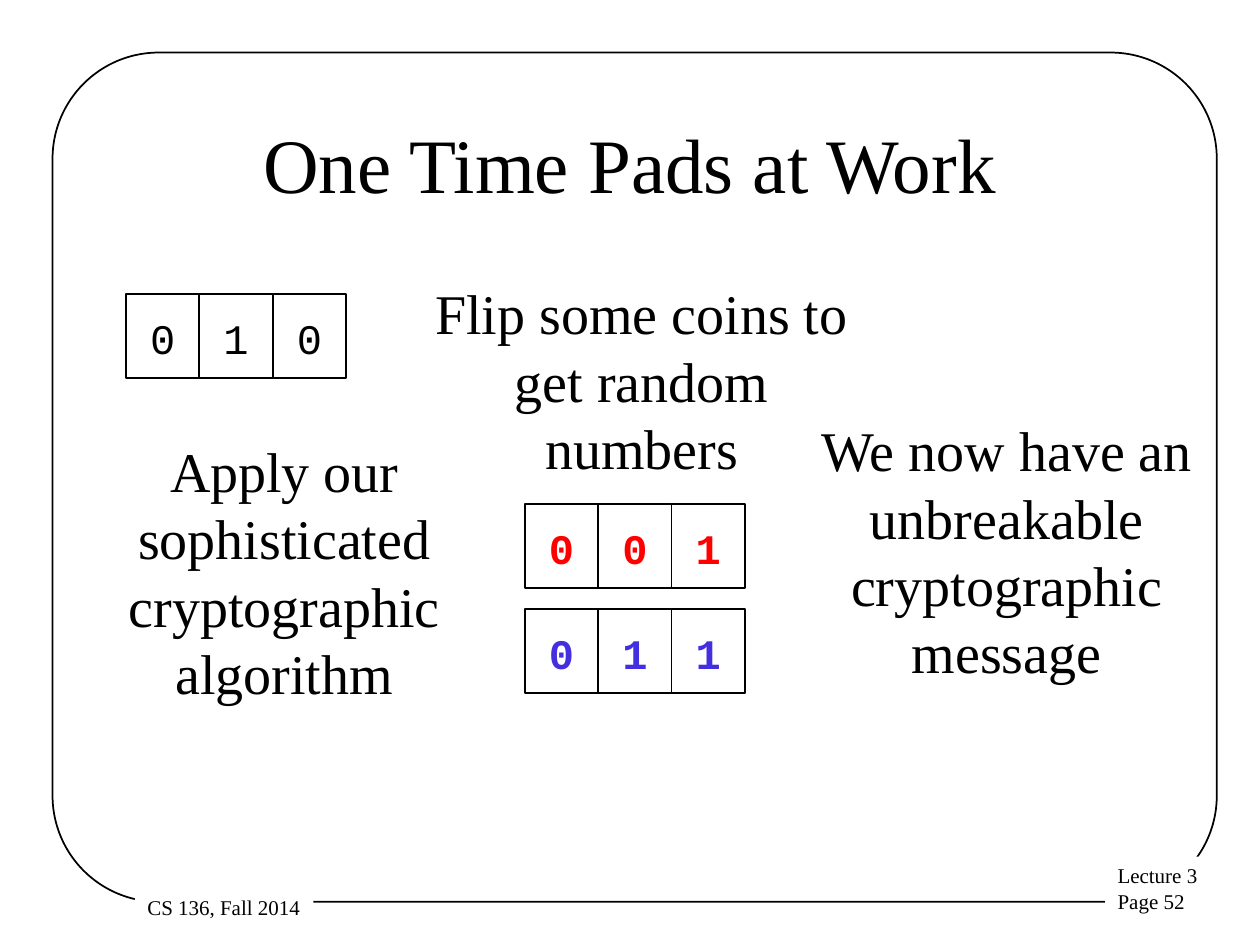
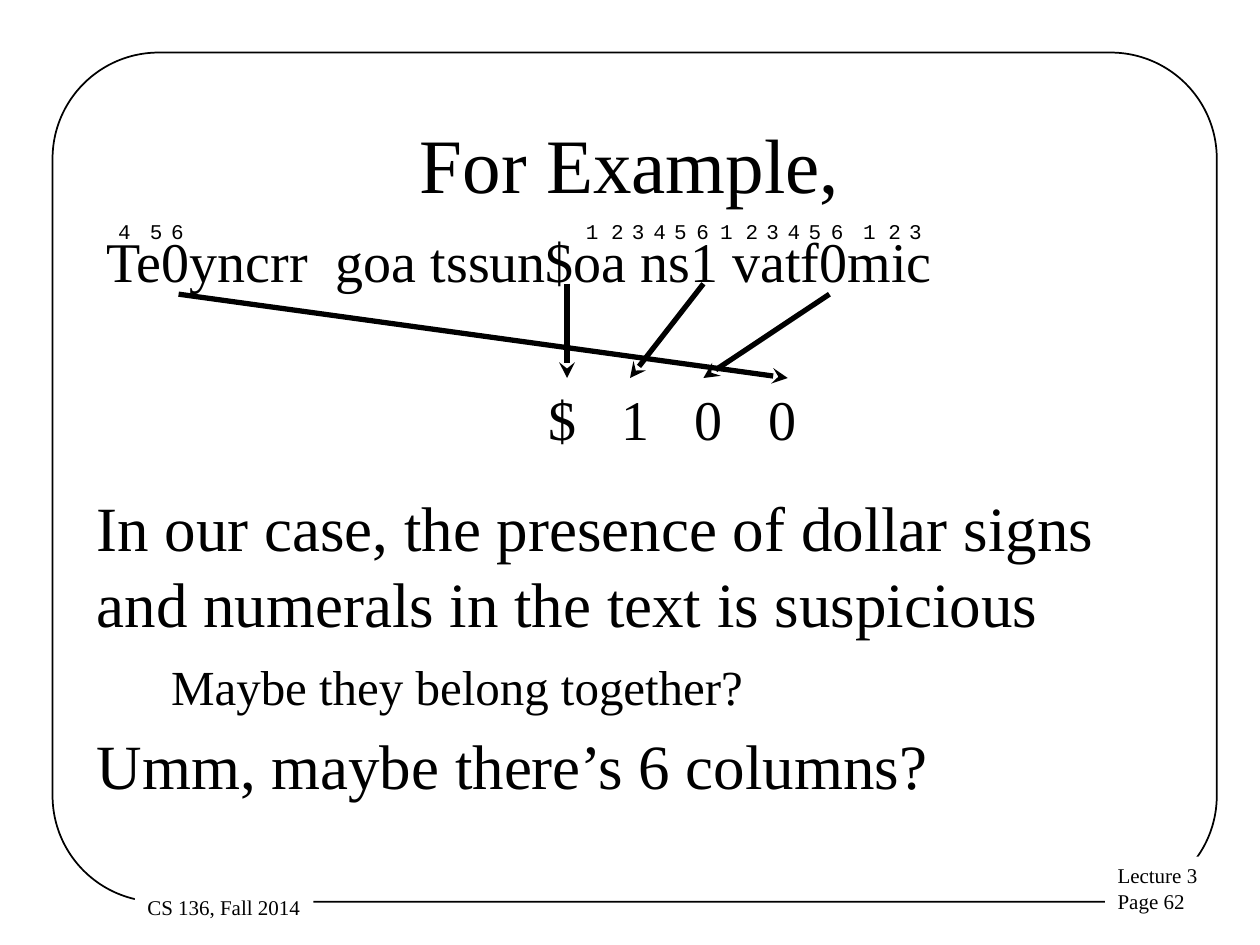
from lxml import etree
from pptx import Presentation
from pptx.dml.color import RGBColor
from pptx.enum.shapes import MSO_CONNECTOR, MSO_SHAPE
from pptx.enum.text import MSO_ANCHOR, PP_ALIGN
from pptx.oxml.ns import qn
from pptx.util import Cm, Pt

RECT, ROUND = MSO_SHAPE.RECTANGLE, MSO_SHAPE.ROUNDED_RECTANGLE
LINE = MSO_CONNECTOR.STRAIGHT
LEFT, MID = PP_ALIGN.LEFT, PP_ALIGN.CENTER
TOP, CENTER = MSO_ANCHOR.TOP, MSO_ANCHOR.MIDDLE
SERIF, MONO = "Times New Roman", "Courier New"
BLACK, WHITE, RED, BLUE = "000000", "FFFFFF", "FF0000", "432EE0"
LEAD = {SERIF: 1.2, MONO: 1.3}
CELL_W, CELL_H = 1.48, 1.69


def color(code):
    return RGBColor.from_string(code)


class Deck:
    def __init__(self):
        self.prs = Presentation()
        self.prs.slide_width, self.prs.slide_height = Cm(25.4), Cm(19.05)
        self.slide = None

    def page(self, title, number):
        self.slide = self.prs.slides.add_slide(self.prs.slide_layouts[6])
        frame = self.shape(ROUND, (1.06, 1.06, 23.47, 17.12), line=BLACK)
        frame.adjustments[0] = 0.125
        notes = (
            (("Lecture 3", f"Page {number}"), (22.28, 17.27, 3.22, 1.27)),
            (("CS 136, Fall 2014",), (2.72, 17.91, 3.6, 0.76)),
        )
        for lines, box in notes:
            plate = self.shape(RECT, box, fill=WHITE)
            self.label(plate, lines, 12)
        self.text(title, (1.9, 1.69, 21.59, 3.18), 44, align=MID, anchor=CENTER)

    def shape(self, kind, box, fill=None, line=None):
        shape = self.slide.shapes.add_shape(kind, *map(Cm, box))
        shape.shadow.inherit = False
        if fill:
            shape.fill.solid()
            shape.fill.fore_color.rgb = color(fill)
        else:
            shape.fill.background()
        if line:
            shape.line.color.rgb = color(line)
            shape.line.width = Pt(1)
        else:
            shape.line.fill.background()
        return shape

    def label(self, shape, lines, size, font=SERIF, ink=BLACK, bold=False,
              align=LEFT, anchor=TOP, wrap=True):
        frame = shape.text_frame
        frame.word_wrap, frame.vertical_anchor = wrap, anchor
        style = {"name": font, "size": Pt(size), "bold": bold}
        for index, line in enumerate(lines):
            para = frame.add_paragraph() if index else frame.paragraphs[0]
            para.alignment = align
            para.line_spacing = Pt(size * LEAD[font])
            run = para.add_run()
            run.text = line
            for key, value in style.items():
                setattr(run.font, key, value)
            run.font.color.rgb = color(ink)

    def text(self, words, box, size, **style):
        shape = self.slide.shapes.add_textbox(*map(Cm, box))
        self.label(shape, [words], size, **style)

    def bits(self, digits, left, top, ink=BLACK, bold=False):
        for index, digit in enumerate(digits):
            box = (left + index * CELL_W, top, CELL_W, CELL_H)
            cell = self.shape(RECT, box, fill=WHITE, line=BLACK)
            self.label(cell, [digit], 24, font=MONO, ink=ink, bold=bold,
                       align=MID, anchor=CENTER, wrap=False)

    def arrow(self, start, end):
        arrow = self.slide.shapes.add_connector(LINE, *map(Cm, start + end))
        arrow.line.color.rgb = color(BLACK)
        arrow.line.width = Pt(3)
        props = arrow._element.spPr
        line = props.find(qn("a:ln"))
        etree.SubElement(line, qn("a:tailEnd"), type="stealth")
        etree.SubElement(props, qn("a:effectLst"))


def pads(deck):
    deck.page("One Time Pads at Work", 52)
    deck.bits("010", 2.54, 5.93)
    deck.bits("001", 10.58, 10.16, RED, True)
    deck.bits("011", 10.58, 12.28, BLUE, True)
    steps = (
        ("Flip some coins to get random numbers", 8.26, 5.5, 4.32),
        ("Apply our sophisticated cryptographic algorithm", 1.06, 8.68, 5.69),
        ("We now have an unbreakable cryptographic message", 15.62, 8.26, 5.69),
    )
    for words, left, top, height in steps:
        deck.text(words, (left, top, 9.35, height), 32, align=MID)


def example(deck):
    deck.page("For Example,", 62)
    deck.text("In our case, the presence of dollar signs and numerals "
              "in the text is suspicious", (1.7, 9.73, 21.21, 3.3), 36)
    singles = (
        ("Maybe they belong together?", (3.2, 13.11, 12.04, 1.45), 28),
        ("Te0yncrr  goa tssun$oa ns1 vatf0mic", (1.9, 4.45, 17.22, 1.63), 32),
        ("Umm, maybe there’s 6 columns?", (1.7, 14.53, 17.32, 1.78), 36),
    )
    for words, box, size in singles:
        deck.text(words, box, size, wrap=False)

    finds = (
        ("$", (11.43, 5.72), 11.43),
        ("1", (14.18, 5.72), 12.7),
        ("0", (16.72, 5.93), 14.18),
        ("0", (3.6, 5.93), 15.88),
    )
    for index, (sign, start, tip) in enumerate(finds):
        deck.arrow(start, (tip, 7.62))
        box = (10.8 + index * CELL_W, 7.62, 1.07, 1.63)
        deck.text(sign, box, 32, wrap=False)

    gaps = (0, 0.51, 0.93, 1.36, 1.78, 2.23)
    marks = (
        ("123456", 11.56, gaps),
        ("123456", 14.27, gaps),
        ("123", 17.15, gaps),
        ("456", 2.13, (0, 0.64, 1.07)),
    )
    for digits, left, shifts in marks:
        for digit, shift in zip(digits, shifts):
            box = (left + shift, 4.23, 0.76, 0.76)
            deck.text(digit, box, 12, font=MONO, wrap=False)


def main():
    deck = Deck()
    pads(deck)
    example(deck)
    deck.prs.save("out.pptx")


if __name__ == "__main__":
    main()
